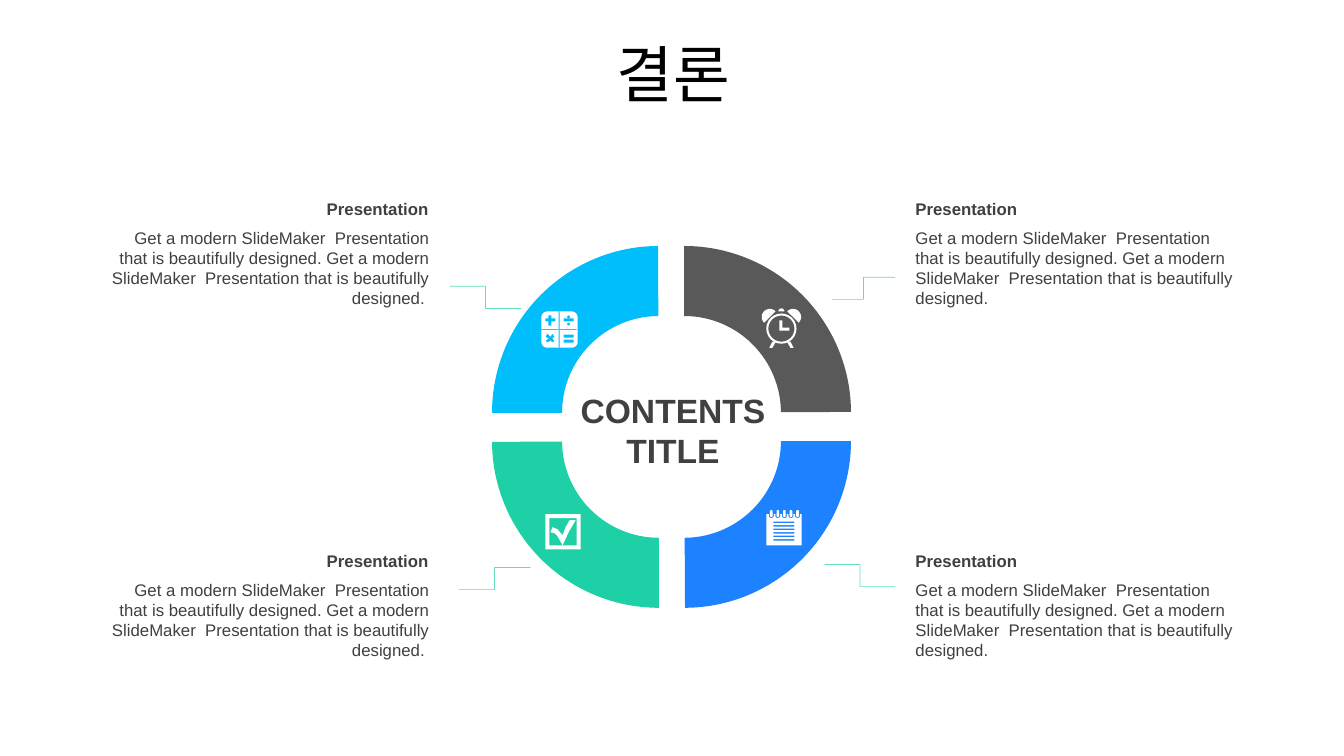
import math

import pptx
import pptx.dml.color
import pptx.enum.shapes
import pptx.enum.text
import pptx.oxml.ns
import pptx.oxml.xmlchemy
import pptx.util

Inches, Pt = pptx.util.Inches, pptx.util.Pt
ALIGN = pptx.enum.text.PP_ALIGN
SHAPE = pptx.enum.shapes.MSO_SHAPE

COLORS = {"sky": "00BDFB", "gray": "595959", "blue": "1C82FF", "green": "1ED0A6",
          "text": "404040", "black": "000000", "white": "FFFFFF"}
LATIN, KOREAN = "Arial", "Noto Sans CJK KR"

TITLE = "결론"
CENTER_LINES = ["CONTENTS", "TITLE"]
HEADING = "Presentation"
BODY = "Get a modern SlideMaker  Presentation that is beautifully designed. " * 2
COLUMNS = [(9.08, ALIGN.LEFT), (1.05, ALIGN.RIGHT)]
ROWS = [1.92, 5.41]
ARC_SIZE = 3.31
ARCS = [("sky", 4.88, 2.44), ("gray", 5.13, 2.44),
        ("blue", 5.13, 2.72), ("green", 4.88, 2.72)]  # clockwise from top left
LEADERS = [(4.55, 5.85, 5.26, 5.63), (4.46, 2.84, 5.17, 3.06),
           (8.88, 5.82, 8.18, 5.6), (8.88, 2.75, 8.25, 2.97)]


def paint(fill, color):
    """Give a fill one solid colour."""
    fill.solid()
    fill.fore_color.rgb = pptx.dml.color.RGBColor.from_string(COLORS[color])


def add_text(page, place, lines, size, align, color="text", font=LATIN, bold=False, inset=0.1):
    """Add a wrapping text box with one paragraph per line and return it."""
    box = page.shapes.add_textbox(*map(Inches, place))
    frame = box.text_frame
    frame.word_wrap = True
    frame.auto_size = pptx.enum.text.MSO_AUTO_SIZE.SHAPE_TO_FIT_TEXT
    frame.margin_left = frame.margin_right = Inches(inset)
    frame.text = "\n".join(lines)
    for paragraph in frame.paragraphs:
        paragraph.alignment = align
        paragraph.font.name, paragraph.font.size, paragraph.font.bold = font, Pt(size), bold
        paint(paragraph.font.fill, color)
    return box


def add_title(page):
    """Add the slide title in the Korean font."""
    box = add_text(page, (0.35, 0.37, 12.66, 0.79), [TITLE], 44, ALIGN.CENTER, "black", KOREAN)
    box.text_frame.vertical_anchor = pptx.enum.text.MSO_ANCHOR.MIDDLE
    paragraph = box.text_frame.paragraphs[0]
    paragraph.line_spacing, paragraph.space_before = 0.9, Pt(10)
    latin = paragraph._p.find(".//" + pptx.oxml.ns.qn("a:latin"))
    east_asian = pptx.oxml.xmlchemy.OxmlElement("a:ea")
    east_asian.set("typeface", KOREAN)
    latin.addnext(east_asian)


def add_arc(page, turn, color, left, top):
    """Add one quarter of the ring, turned by quarter turns."""
    arc = page.shapes.add_shape(SHAPE.BLOCK_ARC, *map(Inches, (left, top, ARC_SIZE, ARC_SIZE)))
    for index, value in enumerate((108, 161.82, 0.21)):
        arc.adjustments[index] = value
    arc.rotation = 90 * turn
    arc.shadow.inherit = False
    arc.line.fill.background()
    paint(arc.fill, color)


def add_leader(page, ends):
    """Add a thin, partly transparent elbow line."""
    leader = page.shapes.add_connector(pptx.enum.shapes.MSO_CONNECTOR.ELBOW, *map(Inches, ends))
    leader.line.width = Pt(0.5)
    paint(leader.line.fill, "green")
    alpha = pptx.oxml.xmlchemy.OxmlElement("a:alpha")
    alpha.set("val", "70000")
    properties = leader._element.spPr
    properties.find(".//" + pptx.oxml.ns.qn("a:srgbClr")).append(alpha)
    properties.append(pptx.oxml.xmlchemy.OxmlElement("a:effectLst"))


def rect(left, top, width, height):
    """Return the corners of a rectangle."""
    right, bottom = left + width, top + height
    return [(left, top), (right, top), (right, bottom), (left, bottom)]


def arc_points(x, y, radius, start=0, end=360):
    """Return points along a circular arc, angles in degrees."""
    angles = [math.radians(start + (end - start) * step / 24) for step in range(25)]
    return [(x + radius * math.cos(a), y + radius * math.sin(a)) for a in angles]


def capsule(x, top, bottom, radius):
    """Return an upright bar with round ends."""
    return (arc_points(x, top + radius, radius, 180, 360)
            + arc_points(x, bottom - radius, radius, 0, 180))


def round_rect(left, top, size, radius):
    """Return a square with round corners."""
    near, far = radius, size - radius
    corners = [(far, far, 0), (near, far, 90), (near, near, 180), (far, near, 270)]
    return [point for x, y, start in corners
            for point in arc_points(left + x, top + y, radius, start, start + 90)]


def clock():
    """Return the outlines of the alarm clock."""
    x, y = 7.75, 3.26
    hands = [(7.73, 3.18), (7.76, 3.18), (7.76, 3.25), (7.83, 3.25), (7.83, 3.28), (7.73, 3.28)]
    leg = [(-0.09, 3.39), (-0.06, 3.4), (-0.09, 3.45), (-0.12, 3.45)]
    legs = [[(x + side * dx, dy) for dx, dy in leg] for side in (1, -1)]
    bells = [arc_points(x - 0.115, 3.145, 0.08, -225, -45),
             arc_points(x + 0.115, 3.145, 0.08, -135, 45)]
    knob = arc_points(x, 3.09, 0.03, 180, 360)
    return [arc_points(x, y, 0.15), arc_points(x, y, 0.13), hands, knob] + legs + bells


def notepad():
    """Return the outlines of the notepad."""
    outlines = [rect(7.6, 5.1, 0.35, 0.31)]
    outlines += [rect(7.67, 5.175 + 0.035 * row, 0.21, 0.015) for row in range(6)]
    for ring in range(5):
        x = 7.65 + 0.065 * ring
        hole = [(x - 0.025, 5.1), (x + 0.025, 5.1)] + arc_points(x, 5.115, 0.025, 0, 180)
        outlines += [hole, capsule(x, 5.06, 5.13, 0.013)]
    return outlines


def calculator():
    """Return the outlines of the calculator."""
    times = [(5.43, 3.31), (5.46, 3.34), (5.48, 3.31), (5.5, 3.34), (5.48, 3.36), (5.5, 3.38),
             (5.48, 3.4), (5.46, 3.38), (5.43, 3.4), (5.41, 3.38), (5.44, 3.36), (5.41, 3.34)]
    plus = [(5.44, 3.13), (5.47, 3.13), (5.47, 3.16), (5.51, 3.16), (5.51, 3.19), (5.47, 3.19),
            (5.47, 3.23), (5.44, 3.23), (5.44, 3.19), (5.41, 3.19), (5.41, 3.16), (5.44, 3.16)]
    bars = [rect(5.59, top, 0.1, 0.03) for top in (3.16, 3.32, 3.37)]
    dots = [arc_points(5.64, y, 0.015) for y in (3.145, 3.215)]
    gaps = [rect(5.54, 3.09, 0.01, 0.36), rect(5.37, 3.265, 0.17, 0.01),
            rect(5.55, 3.265, 0.17, 0.01)]
    return [round_rect(5.37, 3.09, 0.36, 0.06), times, plus] + bars + dots + gaps


def checkbox():
    """Return the outlines of the ticked box."""
    tick = [(5.46, 5.28), (5.48, 5.23), (5.53, 5.25), (5.58, 5.31), (5.61, 5.23), (5.65, 5.16),
            (5.71, 5.16), (5.64, 5.28), (5.58, 5.41), (5.53, 5.32), (5.5, 5.29)]
    return [rect(5.41, 5.1, 0.35, 0.35), rect(5.45, 5.14, 0.27, 0.27), tick]


def add_icon(page, outlines):
    """Add a white icon whose inner outlines are holes."""
    contours = [[(Inches(x), Inches(y)) for x, y in outline] for outline in outlines]
    builder = page.shapes.build_freeform(*contours[0][0])
    for index, points in enumerate(contours):
        if index:
            builder.move_to(*points[0])
        builder.add_line_segments(points[1:], close=True)
    icon = builder.convert_to_shape()
    icon.shadow.inherit = False
    icon.line.fill.background()
    paint(icon.fill, "white")


deck = pptx.Presentation()
deck.slide_width, deck.slide_height = Inches(13.33), Inches(7.5)
page = deck.slides.add_slide(deck.slide_layouts[6])

for turn, arc in enumerate(ARCS):
    add_arc(page, turn, *arc)
for left, align in COLUMNS:
    for top in ROWS:
        add_text(page, (left, top, 3.2, 0.3), [HEADING], 12, align, bold=True, inset=0)
        add_text(page, (left, top + 0.29, 3.21, 0.91), [BODY], 12, align, inset=0)
for ends in LEADERS:
    add_leader(page, ends)
add_text(page, (5.65, 3.82, 2.05, 0.91), CENTER_LINES, 24, ALIGN.CENTER, bold=True)
for icon in (clock, notepad, calculator, checkbox):
    add_icon(page, icon())
add_title(page)

deck.save("out.pptx")
